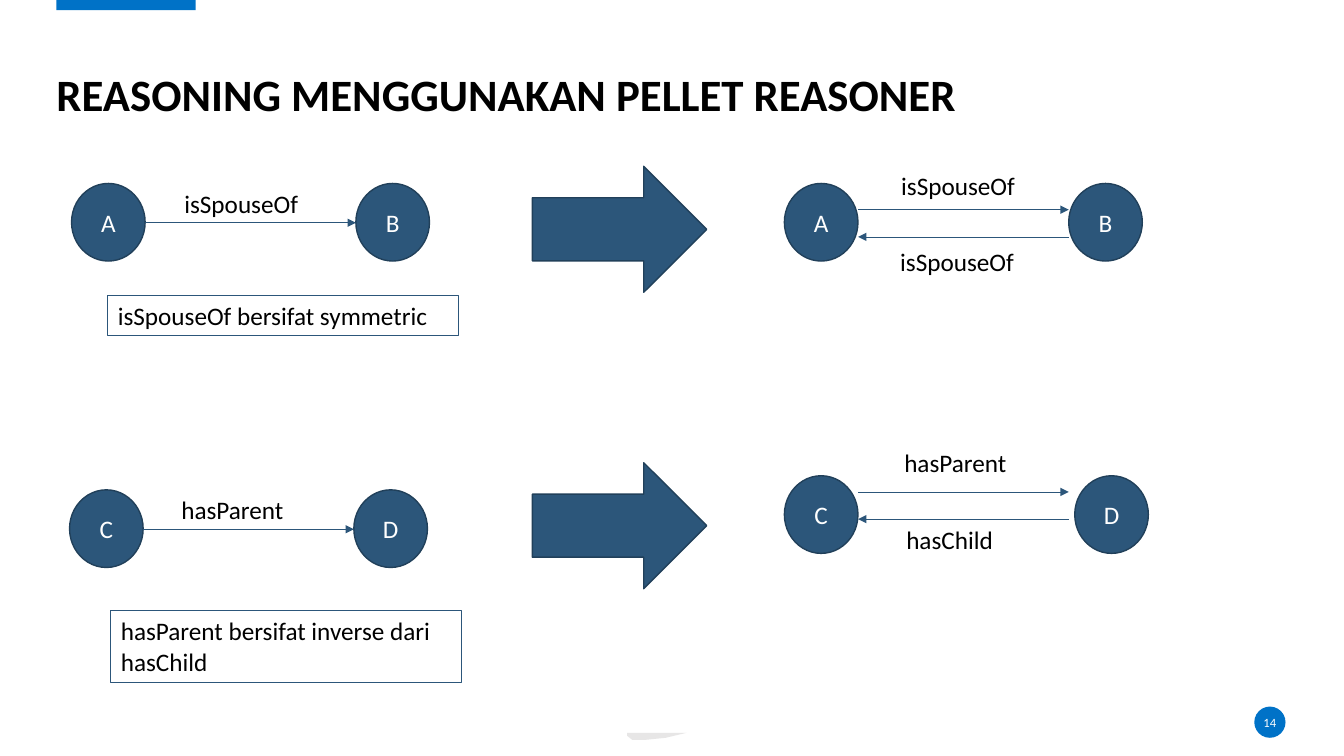
from dataclasses import dataclass

from lxml import etree
from pptx import Presentation
from pptx.dml.color import RGBColor
from pptx.enum.shapes import MSO_CONNECTOR, MSO_SHAPE
from pptx.enum.text import MSO_ANCHOR, PP_ALIGN
from pptx.oxml.ns import qn
from pptx.util import Inches, Pt

RECT, OVAL, ARROW = MSO_SHAPE.RECTANGLE, MSO_SHAPE.OVAL, MSO_SHAPE.RIGHT_ARROW
STRAIGHT = MSO_CONNECTOR.STRAIGHT
LEFT, CENTER = PP_ALIGN.LEFT, PP_ALIGN.CENTER
TOP, MIDDLE = MSO_ANCHOR.TOP, MSO_ANCHOR.MIDDLE


@dataclass(frozen=True)
class Theme:
    font: str = "Calibri"
    accent: str = "0072C7"
    navy: str = "2C567A"
    edge: str = "21405A"
    grey: str = "E7E6E6"
    black: str = "000000"
    white: str = "FFFFFF"
    title: int = 32
    body: int = 18
    number: int = 9


THEME = Theme()
NODE_W, NODE_H, LINK_W = 0.73, 0.77, 2.09
LABEL_W, LABEL_H = 1.39, 0.4


def rgb(value):
    return RGBColor.from_string(value)


def write(sp, text, size=THEME.body, color=THEME.black, bold=False,
          align=LEFT, anchor=TOP, inset=None, spacing=None):
    tf = sp.text_frame
    tf.word_wrap = True
    tf.vertical_anchor = anchor
    if inset is not None:
        tf.margin_left = tf.margin_right = Inches(inset)
        tf.margin_top = tf.margin_bottom = Inches(inset)
    p = tf.paragraphs[0]
    p.alignment = align
    if spacing:
        p.line_spacing = spacing
    r = p.add_run()
    r.text = text
    r.font.name = THEME.font
    r.font.size = Pt(size)
    r.font.bold = bold
    r.font.color.rgb = rgb(color)


def paint(sp, fill=None, line=None, width=1):
    sp.shadow.inherit = False
    if fill:
        sp.fill.solid()
        sp.fill.fore_color.rgb = rgb(fill)
    else:
        sp.fill.background()
    if line:
        sp.line.color.rgb = rgb(line)
        sp.line.width = Pt(width)
    else:
        sp.line.fill.background()


def add_shape(s, kind, box, **style):
    sp = s.shapes.add_shape(kind, *map(Inches, box))
    paint(sp, **style)
    return sp


def add_text(s, box, text, **style):
    write(s.shapes.add_textbox(*map(Inches, box)), text, **style)


def add_link(s, start, end, y):
    cx = s.shapes.add_connector(STRAIGHT, *map(Inches, (start, y, end, y)))
    cx.line.color.rgb = rgb(THEME.navy)
    cx.line.width = Pt(0.5)
    etree.SubElement(cx.line._get_or_add_ln(), qn("a:tailEnd"), type="triangle")
    etree.SubElement(cx._element.spPr, qn("a:effectLst"))


def add_node(s, x, y, name):
    sp = add_shape(s, OVAL, (x, y, NODE_W, NODE_H), fill=THEME.navy, line=THEME.edge)
    write(sp, name, color=THEME.white, align=CENTER, anchor=MIDDLE)


def add_relation(s, x, y, names, links, span=2.82):
    for i, name in enumerate(names):
        add_node(s, x + i * span, y, name)
    for i, (label, link_y, label_x, label_y) in enumerate(links):
        ends = (x + NODE_W, x + NODE_W + LINK_W)
        start, end = ends[::-1] if i else ends
        add_link(s, start, end, y + link_y)
        add_text(s, (x + label_x, y + label_y, LABEL_W, LABEL_H), label)


def add_rule(s, box, text):
    sp = add_shape(s, RECT, box, line=THEME.navy, width=0.75)
    write(sp, text)


def add_implication(s, x, y):
    add_shape(s, ARROW, (x, y, 1.73, 1.25), fill=THEME.navy, line=THEME.edge)


def add_frame(s, title, number):
    add_shape(s, RECT, (0.56, 0, 1.38, 0.1), fill=THEME.accent)
    outline = [(6.22, 7.27), (6.81, 7.27), (6.6, 7.32), (6.4, 7.34), (6.27, 7.34), (6.22, 7.3)]
    points = [(Inches(x), Inches(y)) for x, y in outline]
    fb = s.shapes.build_freeform(*points[0])
    fb.add_line_segments(points[1:], close=True)
    paint(fb.convert_to_shape(), fill=THEME.grey)
    badge = add_shape(s, OVAL, (12.44, 7.01, 0.31, 0.31), fill=THEME.accent)
    write(badge, number, size=THEME.number, color=THEME.white,
          align=CENTER, anchor=MIDDLE, inset=0)
    add_text(s, (0.56, 0.55, 10.24, 0.82), title, size=THEME.title, bold=True,
             anchor=MIDDLE, inset=0, spacing=0.9)


def add_symmetric_row(s, y):
    names = ("A", "B")
    add_relation(s, 0.71, y, names, [("isSpouseOf", 0.39, 1.02, 0)])
    add_implication(s, 5.28, y - 0.17)
    add_relation(s, 7.78, y, names, [("isSpouseOf", 0.26, 1.06, -0.18),
                                     ("isSpouseOf", 0.53, 1.05, 0.57)])
    add_rule(s, (1.07, y + 1.11, 3.48, 0.4), "isSpouseOf bersifat symmetric")


def add_inverse_row(s, y):
    names = ("C", "D")
    add_relation(s, 0.69, y, names, [("hasParent", 0.39, 1.01, 0)])
    add_implication(s, 5.28, y - 0.27)
    add_relation(s, 7.78, y - 0.14, names, [("hasParent", 0.16, 1.09, -0.33),
                                            ("hasChild", 0.43, 1.11, 0.43)], span=2.88)
    add_rule(s, (1.1, y + 1.2, 3.48, 0.71), "hasParent bersifat inverse dari hasChild")


def main():
    prs = Presentation()
    prs.slide_width, prs.slide_height = Inches(13.33), Inches(7.5)
    s = prs.slides.add_slide(prs.slide_layouts[6])
    add_frame(s, "REASONING MENGGUNAKAN PELLET REASONER", "14")
    add_symmetric_row(s, 1.82)
    add_inverse_row(s, 4.86)
    prs.save("out.pptx")


if __name__ == "__main__":
    main()
